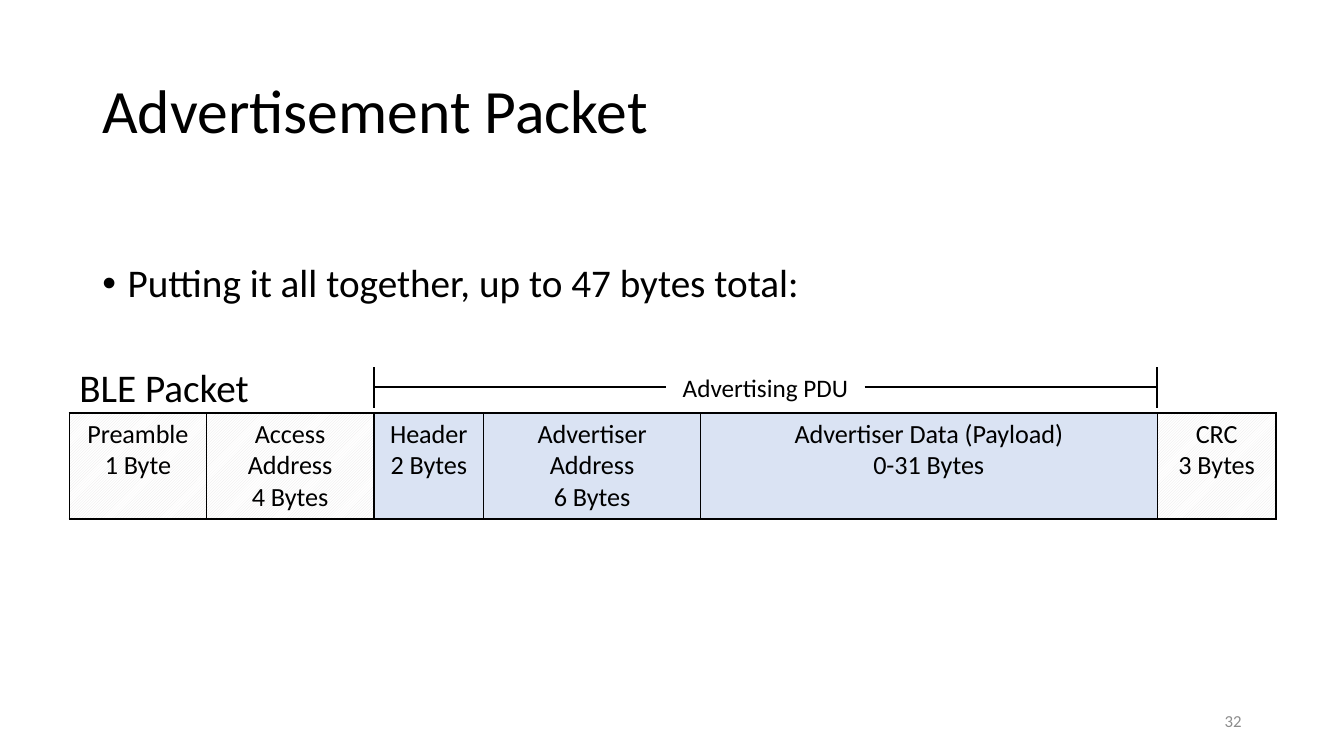
from dataclasses import dataclass
from lxml.etree import SubElement
from pptx import Presentation
from pptx.dml.color import RGBColor as RGB
from pptx.enum.dml import MSO_PATTERN as Pattern
from pptx.enum.shapes import MSO_CONNECTOR as Link
from pptx.enum.text import MSO_ANCHOR as Anchor, PP_ALIGN as Align
from pptx.oxml.ns import qn
from pptx.util import Cm, Pt


@dataclass(frozen=True)
class Theme:
    font: str = "Calibri"
    black: RGB = RGB(0x00, 0x00, 0x00)
    white: RGB = RGB(0xFF, 0xFF, 0xFF)
    gray: RGB = RGB(0x8C, 0x8C, 0x8C)
    stripe: RGB = RGB(0xE7, 0xE6, 0xE6)
    blue: RGB = RGB(0xDA, 0xE3, 0xF3)
    title: float = 44
    body: float = 28
    label: float = 18
    cell: float = 18.67
    number: float = 12
    thick: float = 1.5
    thin: float = 1


theme = Theme()
deck = Presentation()
deck.slide_width, deck.slide_height = Cm(33.87), Cm(19.05)
slide = deck.slides.add_slide(deck.slide_layouts[6])
shapes = slide.shapes


def write(frame, text, size, color=theme.black, **format):
    """Fill a text frame's first paragraph; each newline is a line break."""
    frame.word_wrap = True
    para = frame.paragraphs[0]
    for index, line in enumerate(text.split("\n")):
        if index:
            para.add_line_break()
        run = para.add_run()
        run.text = line
        look = {"name": theme.font, "size": Pt(size)}
        for name, value in look.items():
            setattr(run.font, name, value)
        run.font.color.rgb = color
    for name, value in format.items():
        setattr(para, name, value)
    return para


def rule(x1, y1, x2, y2):
    line = shapes.add_connector(Link.STRAIGHT, Cm(x1), Cm(y1), Cm(x2), Cm(y2))
    line.line.color.rgb = theme.black
    line.line.width = Pt(theme.thick)
    SubElement(line._element.spPr, qn("a:effectLst"))
    return line


# Title, bullet, packet name and slide number
boxes = [
    ("Advertisement Packet", (2.33, 1.01, 29.21, 3.68), theme.title,
     theme.black, Anchor.MIDDLE, {"line_spacing": 0.9}),
    ("Putting it all together, up to 47 bytes total:", (2.33, 6.52, 29.21, 1.5),
     theme.body, theme.black, Anchor.TOP, {"line_spacing": 0.9}),
    ("BLE Packet", (1.75, 9.02, 5.26, 1.45), theme.body, theme.black,
     Anchor.TOP, {}),
    ("32", (23.92, 17.66, 7.62, 1.01), theme.number, theme.gray,
     Anchor.MIDDLE, {"alignment": Align.RIGHT}),
]
for text, place, size, color, anchor, format in boxes:
    frame = shapes.add_textbox(*map(Cm, place)).text_frame
    frame.vertical_anchor = anchor
    para = write(frame, text, size, color, **format)
    if text.startswith("Putting"):
        props = para._p.get_or_add_pPr()
        props.set("marL", str(Cm(0.64)))
        props.set("indent", str(-Cm(0.64)))
        SubElement(props, qn("a:buFont"), typeface="Arial")
        SubElement(props, qn("a:buChar"), char="•")

# Packet fields: text, width in cm, part of the PDU
fields = [
    ("Preamble\n1 Byte", 3.45, False),
    ("Access Address\n4 Bytes", 4.22, False),
    ("Header\n2 Bytes", 2.77, True),
    ("Advertiser Address\n6 Bytes", 5.46, True),
    ("Advertiser Data (Payload)\n0-31 Bytes", 11.51, True),
    ("CRC\n3 Bytes", 3, False),
]
left, top, height = 1.75, 10.41, 2.67
width = sum(field[1] for field in fields)
table = shapes.add_table(1, len(fields), Cm(left), Cm(top), Cm(width),
                         Cm(height)).table
table.first_row = table.horz_banding = False
table.rows[0].height = Cm(height)
start = [pdu for _, _, pdu in fields].index(True)
last = len(fields) - 1
for col, (text, wide, pdu) in enumerate(fields):
    table.columns[col].width = Cm(wide)
    cell = table.cell(0, col)
    write(cell.text_frame, text, theme.cell, alignment=Align.CENTER)
    edges = {"L": col in (0, start), "R": col in (start - 1, last),
             "T": True, "B": True}
    props = cell._tc.get_or_add_tcPr()
    for side, heavy in edges.items():
        weight = Pt(theme.thick if heavy else theme.thin)
        edge = SubElement(props, qn(f"a:ln{side}"), w=str(weight))
        fill = SubElement(edge, qn("a:solidFill"))
        SubElement(fill, qn("a:srgbClr"), val=str(theme.black))
    if pdu:
        cell.fill.solid()
        cell.fill.fore_color.rgb = theme.blue
    else:
        cell.fill.patterned()
        cell.fill.pattern = Pattern.DARK_UPWARD_DIAGONAL
        cell.fill.fore_color.rgb = theme.stripe
        cell.fill.back_color.rgb = theme.white

# Bracket over the PDU fields
begin = left + sum(field[1] for field in fields[:start])
end = begin + sum(wide for _, wide, pdu in fields if pdu)
high, tall, span = 9.25, 1.02, 5
mid = high + tall / 2
side = (begin + end - span) / 2
label = shapes.add_textbox(Cm(side), Cm(high), Cm(span), Cm(tall))
write(label.text_frame, "Advertising PDU", theme.label, alignment=Align.CENTER)
for x in (begin, end):
    rule(x, high, x, high + tall)
rule(begin, mid, side, mid).end_connect(label, 1)
rule(side + span, mid, end, mid).begin_connect(label, 3)

deck.save("out.pptx")
